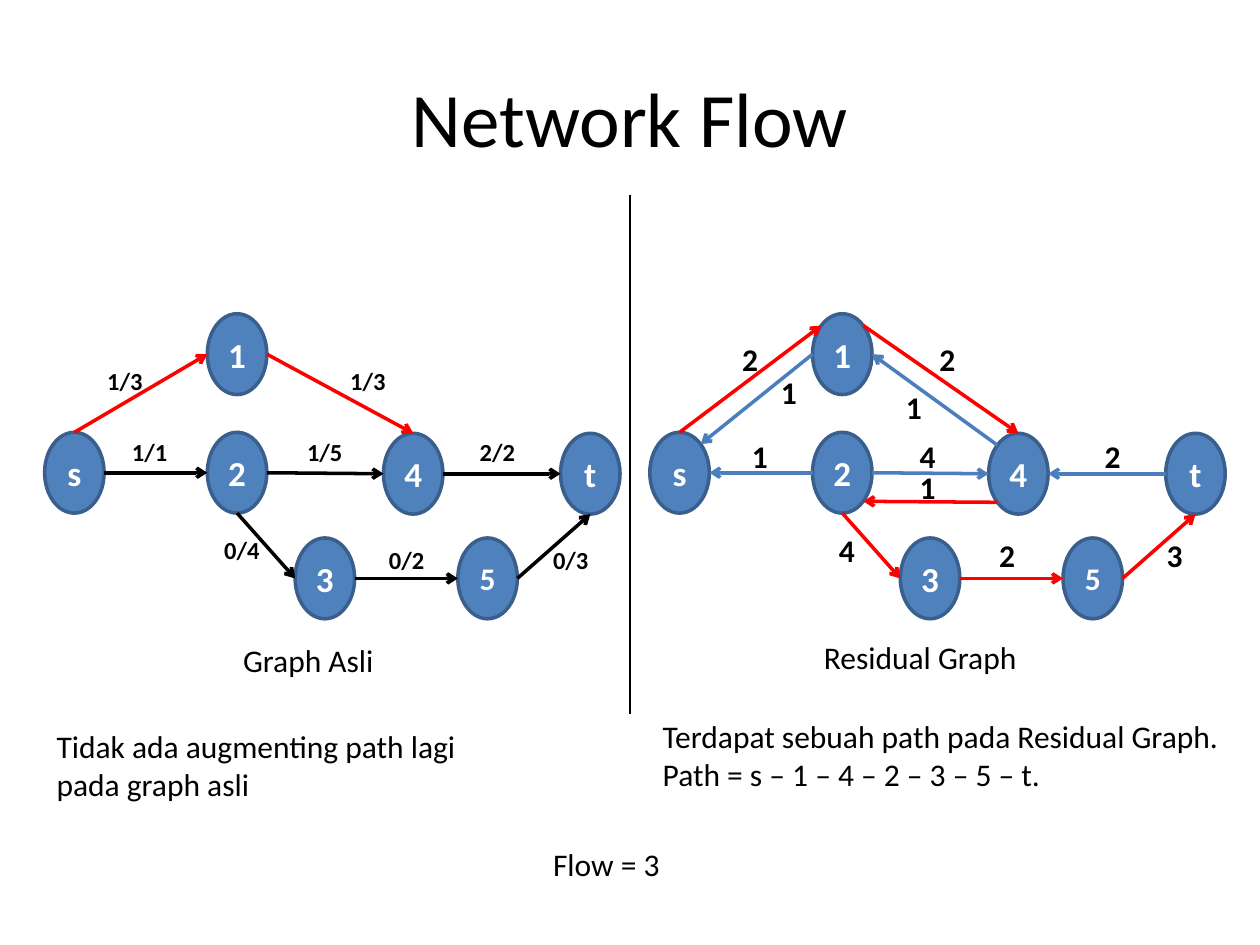
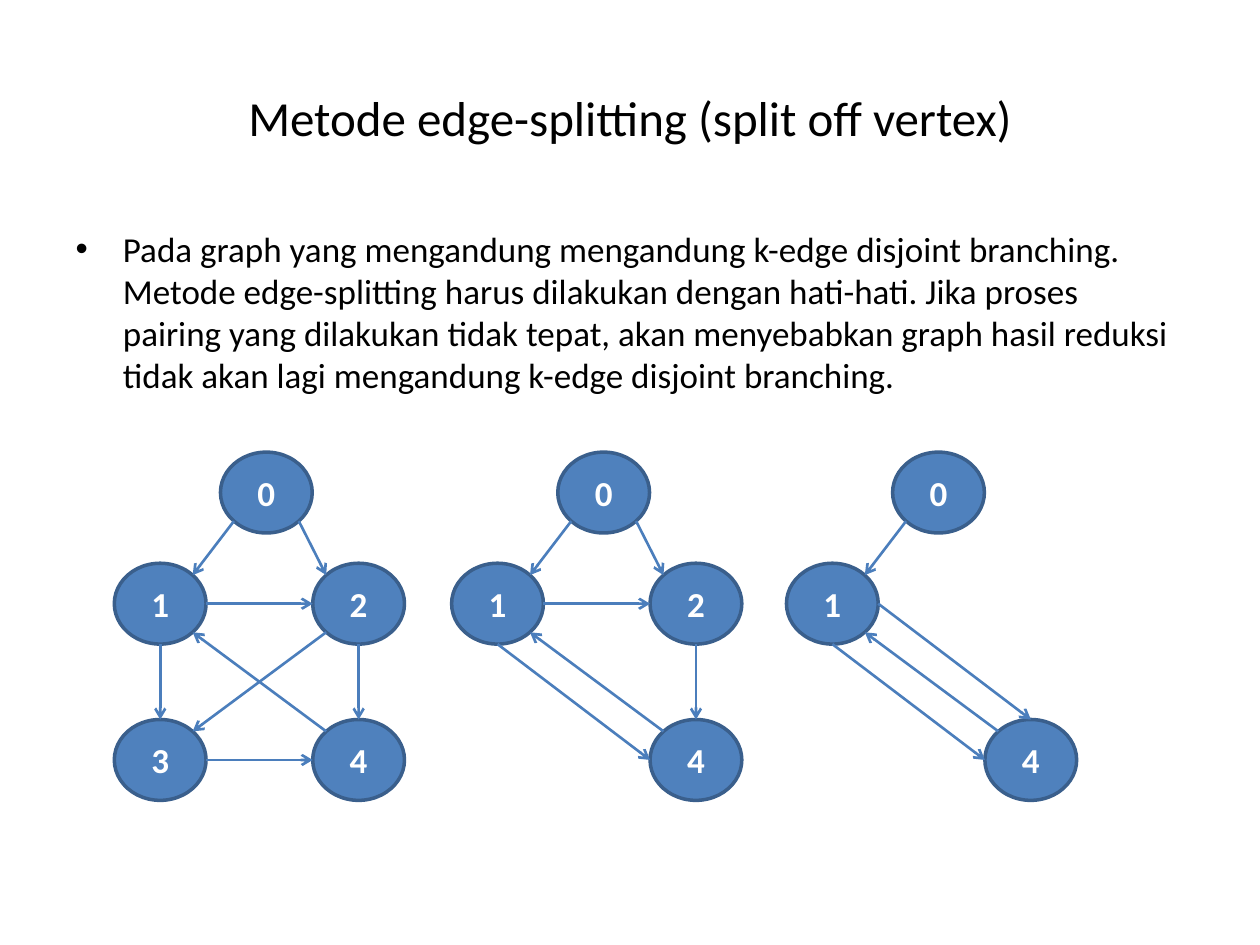
from math import sqrt

from lxml.etree import SubElement
from pptx import Presentation
from pptx.dml.color import RGBColor
from pptx.enum.shapes import MSO_CONNECTOR as Link, MSO_SHAPE as Shape
from pptx.enum.text import MSO_ANCHOR as Anchor, PP_ALIGN as Align
from pptx.oxml.ns import qn
from pptx.util import Cm, Pt

# Shared style
FONT = "Calibri"
BLACK, WHITE, RED = "000000", "FFFFFF", "FF0000"
FILL, RIM, BLUE = "4F81BD", "3A5F8C", "4B7EBC"
TITLE = (1.27, 0.76, 22.86, 3.18)
BODY = (1.27, 4.45, 22.86, 12.57)
HIGH = 1.63  # node height

# Slide 1: node centres in cm, then edges as
# (start.side, end.side, colour, label, label left, label top)
FLOW = {"s": (1.5, 9.53), "2": (4.78, 9.53), "4": (8.33, 9.55),
        "t": (11.9, 9.55), "1": (4.78, 7.14), "3": (6.55, 11.66),
        "5": (9.83, 11.66)}
FLOW_WIDE, FLOW_STEP = 1.2, 12.2
MAIN = [
    ("s.r", "2.l", BLACK, "1/1", 2.41, 8.69),
    ("s.t", "1.l", RED, "1/3", 1.91, 7.26),
    ("2.r", "4.l", BLACK, "1/5", 5.94, 8.69),
    ("4.r", "t.l", BLACK, "2/2", 9.42, 8.69),
    ("1.r", "4.t", RED, "1/3", 6.81, 7.26),
    ("2.b", "3.l", BLACK, "0/4", 4.27, 10.67),
    ("3.r", "5.l", BLACK, "0/2", 7.59, 10.87),
    ("5.r", "t.b", BLACK, "0/3", 10.9, 10.87),
]
REST = [
    ("2.l", "s.r", BLUE, "1", 14.91, 8.69),
    ("s.t", "1.tl", RED, "2", 14.71, 6.73),
    ("2.r", "4.l", BLUE, "4", 18.29, 8.69),
    ("4.tl", "1.r", BLUE, "1", 18.01, 7.7),
    ("2.b", "3.l", RED, "4", 16.66, 10.59),
    ("3.r", "5.l", RED, "2", 19.89, 10.69),
    ("5.r", "t.b", RED, "3", 23.27, 10.69),
    ("4.bl", "2.br", RED, "1", 18.29, 9.32),
    ("t.l", "4.r", BLUE, "2", 22.02, 8.69),
    ("1.tr", "4.t", RED, "2", 18.69, 6.73),
    ("1.l", "s.tr", BLUE, "1", 15.49, 7.39),
]
NOTES = [  # text, left, top, width, height
    ("Graph Asli", 4.65, 12.8, 3.28, 1.02),
    ("Residual Graph", 16.36, 12.73, 4.72, 1.02),
    ("Flow = 3", 10.9, 16.92, 3.05, 1.02),
    ("Terdapat sebuah path pada Residual Graph. "
     "Path = s – 1 – 4 – 2 – 3 – 5 – t.", 13.11, 14.33, 11.81, 1.8),
    ("Tidak ada augmenting path lagi pada graph asli",
     0.89, 14.53, 8.61, 1.8),
]

# Slide 2: node centres, then (shift, node names, edges) for each graph
SPLIT = {"0": (5.37, 9.93), "1": (3.23, 12.17), "2": (7.23, 12.17),
         "3": (3.23, 15.32), "4": (7.23, 15.32)}
SPLIT_WIDE = 1.85
STAGES = [
    (0, "01234", ["0.bl 1.tr", "0.br 2.tl", "1.r 2.l", "1.b 3.t", "2.b 4.t",
                  "3.r 4.l", "4.tl 1.br", "2.bl 3.tr"]),
    (6.8, "0124", ["0.bl 1.tr", "0.br 2.tl", "1.r 2.l", "1.b 4.l",
                   "2.b 4.t", "4.tl 1.br"]),
    (13.55, "014", ["0.bl 1.tr", "1.r 4.t", "1.b 4.l", "4.tl 1.br"]),
]
POINT = ("Pada graph yang mengandung mengandung k-edge disjoint branching. "
         "Metode edge-splitting harus dilakukan dengan hati-hati. Jika proses "
         "pairing yang dilakukan tidak tepat, akan menyebabkan graph hasil "
         "reduksi tidak akan lagi mengandung k-edge disjoint branching.")


def color(code):
    return RGBColor.from_string(code)


def write(frame, text, size, tint=BLACK, bold=False, align=Align.LEFT):
    frame.word_wrap = True
    para = frame.paragraphs[0]
    para.text, para.alignment, para.space_before = text, align, Pt(0)
    font = para.font
    font.name, font.size, font.bold = FONT, Pt(size), bold
    font.color.rgb = color(tint)


def place(shape, box):
    shape.left, shape.top, shape.width, shape.height = map(Cm, box)


def start(deck, layout, title, size):
    slide = deck.slides.add_slide(deck.slide_layouts[layout])
    head = slide.shapes.title
    place(head, TITLE)
    head.text_frame.vertical_anchor = Anchor.MIDDLE
    write(head.text_frame, title, size, align=Align.CENTER)
    return slide


def label(slide, text, box, size=18, bold=False):
    write(slide.shapes.add_textbox(*map(Cm, box)).text_frame,
          text, size, bold=bold)


def line(slide, begin, end, tint, width, arrow=True):
    link = slide.shapes.add_connector(
        Link.STRAIGHT, *map(Cm, begin + end))
    link.line.color.rgb, link.line.width = color(tint), Pt(width)
    if arrow:
        SubElement(link.line._get_or_add_ln(), qn("a:tailEnd"), type="arrow")
    SubElement(link._element.spPr, qn("a:effectLst"))


def node(slide, name, spot, wide):
    x, y = spot
    oval = slide.shapes.add_shape(
        Shape.OVAL, Cm(x - wide / 2), Cm(y - HIGH / 2), Cm(wide), Cm(HIGH))
    oval.shadow.inherit = False
    oval.fill.solid()
    oval.fill.fore_color.rgb = color(FILL)
    oval.line.color.rgb, oval.line.width = color(RIM), Pt(2)
    frame = oval.text_frame
    frame.margin_left = frame.margin_right = 0
    frame.vertical_anchor = Anchor.MIDDLE
    write(frame, name, 18 if name == "5" else 20, WHITE, True, Align.CENTER)


def port(spots, key, wide):
    """Point on the rim of a node, on the side named after the dot."""
    name, side = key.split(".")
    x, y = spots[name]
    across = ("r" in side) - ("l" in side)
    down = ("b" in side) - ("t" in side)
    scale = 1 / sqrt(len(side))
    return x + across * scale * wide / 2, y + down * scale * HIGH / 2


def graph(slide, spots, shift, wide, edges, width):
    spots = {name: (x + shift, y) for name, (x, y) in spots.items()}
    for name, spot in spots.items():
        node(slide, name, spot, wide)
    for begin, end, tint in edges:
        line(slide, port(spots, begin, wide), port(spots, end, wide),
             tint, width)


def flow(deck):
    slide = start(deck, 5, "Network Flow", 44)
    # Two graphs with their edge labels
    for shift, edges, size, box in [(0, MAIN, 14, (1.35, 0.86)),
                                    (FLOW_STEP, REST, 18, (0.69, 1.02))]:
        graph(slide, FLOW, shift, FLOW_WIDE, [edge[:3] for edge in edges], 2)
        for *_, text, x, y in edges:
            label(slide, text, (x, y) + box, size, True)
    # Divider and notes
    line(slide, (12.7, 3.94), (12.7, 14.4), BLACK, 1, arrow=False)
    for text, *box in NOTES:
        label(slide, text, box)


def split(deck):
    slide = start(deck, 1, "Metode edge-splitting (split off vertex)", 28)
    body = slide.placeholders[1]
    place(body, BODY)
    write(body.text_frame, POINT, 20)
    # Three stages of the reduction
    for shift, names, pairs in STAGES:
        graph(slide, {name: SPLIT[name] for name in names}, shift, SPLIT_WIDE,
              [(*pair.split(), BLUE) for pair in pairs], 1.5)


def main():
    deck = Presentation()
    deck.slide_width, deck.slide_height = Cm(25.4), Cm(19.05)
    flow(deck)
    split(deck)
    deck.save("out.pptx")


if __name__ == "__main__":
    main()
